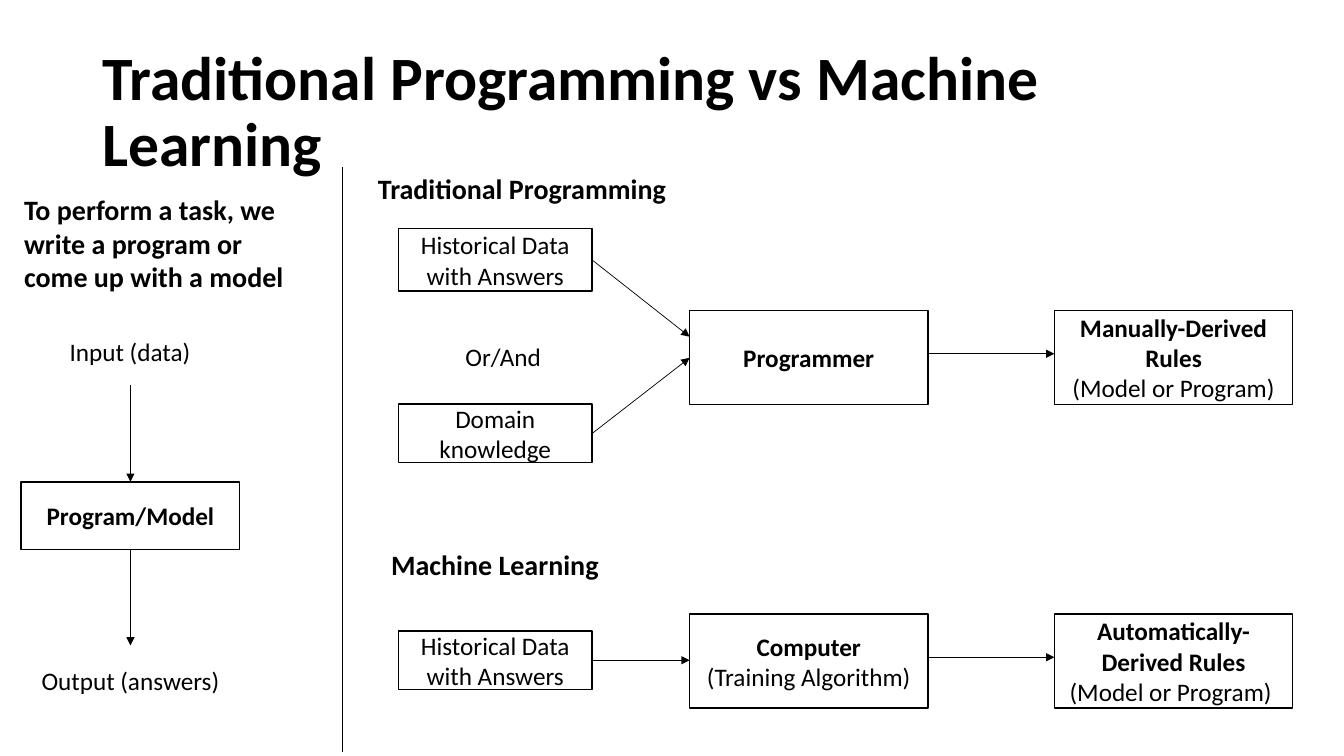
"""Build a slide comparing traditional programming with machine learning."""
from lxml import etree
from pptx import Presentation
from pptx.dml.color import RGBColor
from pptx.enum.shapes import MSO_CONNECTOR, MSO_SHAPE
from pptx.enum.text import MSO_ANCHOR, MSO_AUTO_SIZE, PP_ALIGN
from pptx.oxml.ns import qn
from pptx.util import Pt

RECTANGLE = MSO_SHAPE.RECTANGLE
STRAIGHT = MSO_CONNECTOR.STRAIGHT
MIDDLE, TOP = MSO_ANCHOR.MIDDLE, MSO_ANCHOR.TOP
LEFT, CENTER = PP_ALIGN.LEFT, PP_ALIGN.CENTER
FIXED, GROW = MSO_AUTO_SIZE.NONE, MSO_AUTO_SIZE.SHAPE_TO_FIT_TEXT
COLORS = {name: RGBColor.from_string(value) for name, value in
          {"ink": "000000", "paper": "FFFFFF"}.items()}


def write(shape, lines, size, align, anchor, fit):
    """Fill a shape with (text, bold) lines, one paragraph each."""
    frame = shape.text_frame
    frame.word_wrap = True
    frame.auto_size = fit
    frame.vertical_anchor = anchor
    for index, (text, bold) in enumerate(lines):
        para = frame.add_paragraph() if index else frame.paragraphs[0]
        para.alignment = align
        span = para.add_run()
        span.text = text
        span.font.name = "Calibri"
        span.font.size = Pt(size)
        span.font.bold = bold
        span.font.color.rgb = COLORS["ink"]


def draw_line(page, start, end, arrow):
    """Draw a thin line, with an arrowhead at its end if asked."""
    line = page.shapes.add_connector(STRAIGHT, *map(Pt, start + end))
    line.line.width = Pt(0.5)
    line.line.color.rgb = COLORS["ink"]
    if arrow:
        outline = line.line._get_or_add_ln()
        etree.SubElement(outline, qn("a:tailEnd"), type="triangle")
    etree.SubElement(line._element.spPr, qn("a:effectLst"))


deck = Presentation()
deck.slide_width, deck.slide_height = Pt(960), Pt(540)
page = deck.slides.add_slide(deck.slide_layouts[5])

title = page.shapes.title
title.left, title.top, title.width, title.height = Pt(66), Pt(28.75), Pt(828), Pt(104.4)
write(title, [("Traditional Programming vs Machine Learning", True)], 44, LEFT, MIDDLE, FIXED)
title.text_frame.paragraphs[0].line_spacing = 0.9

SOURCE_LEFT, SOURCE_WIDTH = 284.6, 138.4
WORKER_LEFT, RESULT_LEFT, STAGE_WIDTH, STAGE_HEIGHT = 492.6, 753.2, 170.2, 67.2
TRADITIONAL_TOP, LEARNING_TOP = 221.8, 438.6
HISTORY = [("Historical Data with Answers", False)]

boxes = [
    (15.1, 344.2, 156.2, 48.2, [("Program/Model", True)]),
    (SOURCE_LEFT, 163.4, SOURCE_WIDTH, 44.6, HISTORY),
    (SOURCE_LEFT, 288.7, SOURCE_WIDTH, 41.8, [("Domain knowledge", False)]),
    (SOURCE_LEFT, 450.7, SOURCE_WIDTH, 41.8, HISTORY),
    (WORKER_LEFT, TRADITIONAL_TOP, STAGE_WIDTH, STAGE_HEIGHT, [("Programmer", True)]),
    (RESULT_LEFT, TRADITIONAL_TOP, STAGE_WIDTH, STAGE_HEIGHT,
     [("Manually-Derived Rules", True), ("(Model or Program)", False)]),
    (WORKER_LEFT, LEARNING_TOP, STAGE_WIDTH, STAGE_HEIGHT,
     [("Computer", True), ("(Training Algorithm)", False)]),
    (RESULT_LEFT, LEARNING_TOP, STAGE_WIDTH, STAGE_HEIGHT,
     [("Automatically-Derived Rules", True), ("(Model or Program) ", False)]),
]
for left, top, width, height, lines in boxes:
    box = page.shapes.add_shape(RECTANGLE, Pt(left), Pt(top), Pt(width), Pt(height))
    box.shadow.inherit = False
    box.fill.solid()
    box.fill.fore_color.rgb = COLORS["paper"]
    box.line.color.rgb = COLORS["ink"]
    box.line.width = Pt(1)
    write(box, lines, 18, CENTER, MIDDLE, FIXED)

labels = [
    (28.1, 236.9, 129.6, 29, "Input (data)", 18, False, CENTER),
    (15.1, 471.6, 156.2, 29, "Output (answers)", 18, False, CENTER),
    (10.1, 133.9, 217.4, 80, "To perform a task, we write a program or come up with a model",
     20, True, LEFT),
    (325.4, 240.5, 82.8, 29, "Or/And", 18, False, LEFT),
    (262.8, 118.8, 566, 31.5, "Traditional Programming", 20, True, LEFT),
    (272.2, 387.4, 566, 31.5, "Machine Learning", 20, True, LEFT),
]
for left, top, width, height, text, size, bold, align in labels:
    label = page.shapes.add_textbox(Pt(left), Pt(top), Pt(width), Pt(height))
    write(label, [(text, bold)], size, align, TOP, GROW)

SOURCE_RIGHT, WORKER_RIGHT = SOURCE_LEFT + SOURCE_WIDTH, WORKER_LEFT + STAGE_WIDTH
arrows = [
    ((93.2, 275), (93.2, 344.2)),
    ((93.2, 392.4), (93.2, 461)),
    ((SOURCE_RIGHT, 185.7), (WORKER_LEFT, 240.5)),
    ((SOURCE_RIGHT, 309.6), (WORKER_LEFT, 255.6)),
    ((WORKER_RIGHT, 252.7), (RESULT_LEFT, 252.7)),
    ((SOURCE_RIGHT, 471.6), (WORKER_LEFT, 471.6)),
    ((WORKER_RIGHT, 469.5), (RESULT_LEFT, 469.5)),
]
for start, end in arrows:
    draw_line(page, start, end, True)
draw_line(page, (244.8, 119.5), (244.8, 537.1), False)

deck.save("out.pptx")
